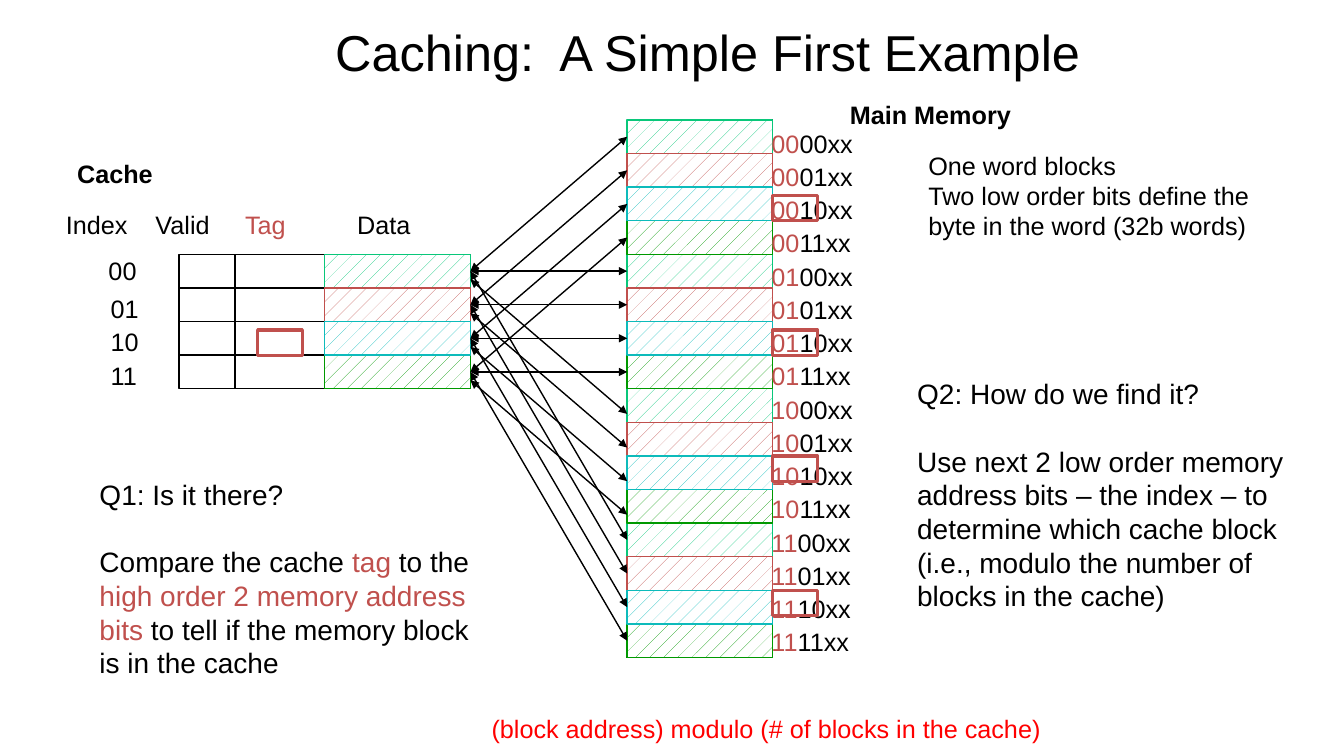
from dataclasses import dataclass

from lxml.etree import SubElement
from pptx import Presentation
from pptx.dml.color import RGBColor
from pptx.enum.dml import MSO_PATTERN as Pattern
from pptx.enum.shapes import MSO_CONNECTOR as Connector, MSO_SHAPE as Shape
from pptx.enum.text import MSO_ANCHOR as Anchor, MSO_AUTO_SIZE as AutoSize, PP_ALIGN as Align
from pptx.oxml.ns import qn
from pptx.util import Inches, Pt


@dataclass(frozen=True)
class Theme:
    font: str = "Arial"
    ink: str = "000000"
    tag: str = "C0504D"
    formula: str = "FF0000"
    paper: str = "FFFFFF"
    # One colour per cache index: 00, 01, 10, 11
    blocks: tuple = ("09C77A", "C0504D", "0DBBBB", "009900")
    title_size: int = 36
    question_size: int = 20
    label_size: int = 18
    rule: float = 1
    tag_rule: float = 2.25


THEME = Theme()

# Grid: 120 columns across the slide; row 0 starts at the top of main memory
WIDTH, HEIGHT = Inches(13.33), Inches(7.5)
COLUMN, ROW = WIDTH / 120, HEIGHT / 22.5
MEMORY_TOP = Inches(1.19)

# Column edges and row positions of the two tables
VALID, TAG, DATA, CACHE_END = 16, 21, 29, 42
MEMORY, MEMORY_END = 56, 69
CACHE_ROW, CACHE_BLOCKS, MEMORY_BLOCKS = 4, 4, 16


def rgb(color):
    return RGBColor.from_string(color)


class SlideBuilder:
    def __init__(self, slide, theme):
        self.slide, self.theme = slide, theme

    def point(self, col, row):
        return round(col * COLUMN), round(MEMORY_TOP + row * ROW)

    def area(self, col, row, cols, rows):
        return *self.point(col, row), round(cols * COLUMN), round(rows * ROW)

    def title(self, wording, *area):
        title = self.slide.shapes.title
        title.left, title.top, title.width, title.height = self.area(*area)
        title.text_frame.vertical_anchor = Anchor.MIDDLE
        self.set_text(title.text_frame, [wording], self.theme.title_size)
        title.text_frame.paragraphs[0].alignment = Align.CENTER

    def set_text(self, frame, paragraphs, size, color=None, bold=False, gap=0, spacing=None):
        """Each paragraph is a string or a list of (wording, colour) runs."""
        color = color or self.theme.ink
        for index, content in enumerate(paragraphs):
            paragraph = frame.paragraphs[0] if index == 0 else frame.add_paragraph()
            paragraph.line_spacing = spacing
            if index and gap:
                paragraph.space_before = Pt(gap)
            font = paragraph.font
            font.name, font.size, font.bold = self.theme.font, Pt(size), bold
            font.color.rgb = rgb(color)
            runs = [(content, color)] if isinstance(content, str) else content
            for wording, run_color in runs:
                run = paragraph.add_run()
                run.text = wording
                if run_color != color:
                    run.font.color.rgb = rgb(run_color)

    def text(self, paragraphs, *area, size=None, wrap=True, **style):
        frame = self.slide.shapes.add_textbox(*self.area(*area)).text_frame
        frame.word_wrap = wrap
        frame.auto_size = AutoSize.SHAPE_TO_FIT_TEXT
        self.set_text(frame, paragraphs, size or self.theme.label_size, **style)

    def label(self, wording, col, row, cols, **style):
        self.text([wording], col, row, cols, 1.2, wrap=False, **style)

    def box(self, *area, color=None, hatched=False, width=None):
        color = color or self.theme.ink
        box = self.slide.shapes.add_shape(Shape.RECTANGLE, *self.area(*area))
        box.shadow.inherit = False
        if hatched:
            box.fill.patterned()
            box.fill.pattern = Pattern.PERCENT_5
            box.fill.fore_color.rgb = rgb(color)
            box.fill.back_color.rgb = rgb(self.theme.paper)
        else:
            box.fill.background()
        box.line.color.rgb = rgb(color)
        box.line.width = Pt(width or self.theme.rule)

    def line(self, start, end, arrows=False):
        line = self.slide.shapes.add_connector(
            Connector.STRAIGHT, *self.point(*start), *self.point(*end))
        line.line.color.rgb = rgb(self.theme.ink)
        line.line.width = Pt(self.theme.rule)
        properties = line._element.spPr
        if arrows:
            for end_name in ("a:headEnd", "a:tailEnd"):
                SubElement(properties.get_or_add_ln(), qn(end_name), type="triangle")
        SubElement(properties, qn("a:effectLst"))


def draw_tables(page):
    # Cache outline and row rules
    for left, right in ((DATA, CACHE_END), (TAG, DATA), (VALID, TAG)):
        page.box(left, CACHE_ROW, right - left, CACHE_BLOCKS)
        for row in range(CACHE_ROW + 1, CACHE_ROW + CACHE_BLOCKS):
            page.line((left, row), (right, row))

    # Main memory rules
    for row in range(MEMORY_BLOCKS + 1):
        page.line((MEMORY, row), (MEMORY_END, row))
    for side in (MEMORY, MEMORY_END):
        page.line((side, 0), (side, MEMORY_BLOCKS))

    # Blocks coloured by cache index
    for index in (0, 3, 1, 2):
        color = THEME.blocks[index]
        page.box(DATA, CACHE_ROW + index, CACHE_END - DATA, 1, color=color, hatched=True)
        for block in range(index, MEMORY_BLOCKS, CACHE_BLOCKS):
            page.box(MEMORY, block, MEMORY_END - MEMORY, 1, color=color, hatched=True)


def draw_mapping(page):
    # Each memory block maps to its address modulo the cache size
    offsets = (0.5, 0.5, 0.75, 0.5)
    for block in range(MEMORY_BLOCKS):
        group, index = divmod(block, CACHE_BLOCKS)
        offset = offsets[group]
        page.line((MEMORY, block + offset), (CACHE_END, CACHE_ROW + index + offset),
                  arrows=True)

    # Memory addresses, with the tag bits coloured
    addresses = [[(f"{block // 4:02b}", THEME.tag), (f"{block % 4:02b}xx", THEME.ink)]
                 for block in range(MEMORY_BLOCKS)]
    page.text(addresses, 68, 0, 13, 16.3, spacing=1.1)


def draw_labels(page):
    # Table headings
    page.label("Cache", 6, 1, 8.6, bold=True)
    page.label("Main Memory", 75, -0.75, 16.3, bold=True)
    page.label("Index", 5, 2.5, 7.4)
    page.label("Valid", 13, 2.5, 6.7)
    page.label("Tag", TAG, 2.5, 5.5, color=THEME.tag)
    page.label("Data", 31, 2.5, 6.6)

    # Cache indexes
    index_spots = ((8.8, 3.87), (9, 5), (9, 6), (9, 7))
    for index, (col, row) in enumerate(index_spots):
        page.label(f"{index:02b}", col, row, 4.3)


def draw_explanations(page):
    # Questions and answers
    page.text(["Q2: How do we find it?",
               "Use next 2 low order memory address bits – the index – to determine "
               "which cache block (i.e., modulo the number of blocks in the cache)"],
              81, 7.5, 36, 7.4, size=THEME.question_size, gap=24)
    page.text(["Q1: Is it there?",
               [("Compare the cache ", THEME.ink), ("tag", THEME.tag),
                (" to the ", THEME.ink),
                ("high order 2 memory address bits", THEME.tag),
                (" to tell if the memory block is in the cache", THEME.ink)]],
              8, 10.5, 37, 6.4, size=THEME.question_size, gap=24)

    # Block size and mapping rule
    page.text(["One word blocks",
               "Two low order bits define the byte in the word (32b words)"],
              82, 0.75, 33, 3)
    page.text(["(block address) modulo (# of blocks in the cache)"],
              43, 17.5, 72, 1.2, color=THEME.formula)

    # Tag highlights
    for col, row in ((23, 6.25), (69, 14), (69, 10), (69, 6.25), (69, 2.25)):
        page.box(col, row, 4, 0.75, color=THEME.tag, width=THEME.tag_rule)


def main():
    deck = Presentation()
    deck.slide_width, deck.slide_height = WIDTH, HEIGHT
    page = SlideBuilder(deck.slides.add_slide(deck.slide_layouts[5]), THEME)
    page.title("Caching:  A Simple First Example", 9, -3.1, 108.4, 2.13)
    draw_tables(page)
    draw_mapping(page)
    draw_labels(page)
    draw_explanations(page)
    deck.save("out.pptx")


if __name__ == "__main__":
    main()
